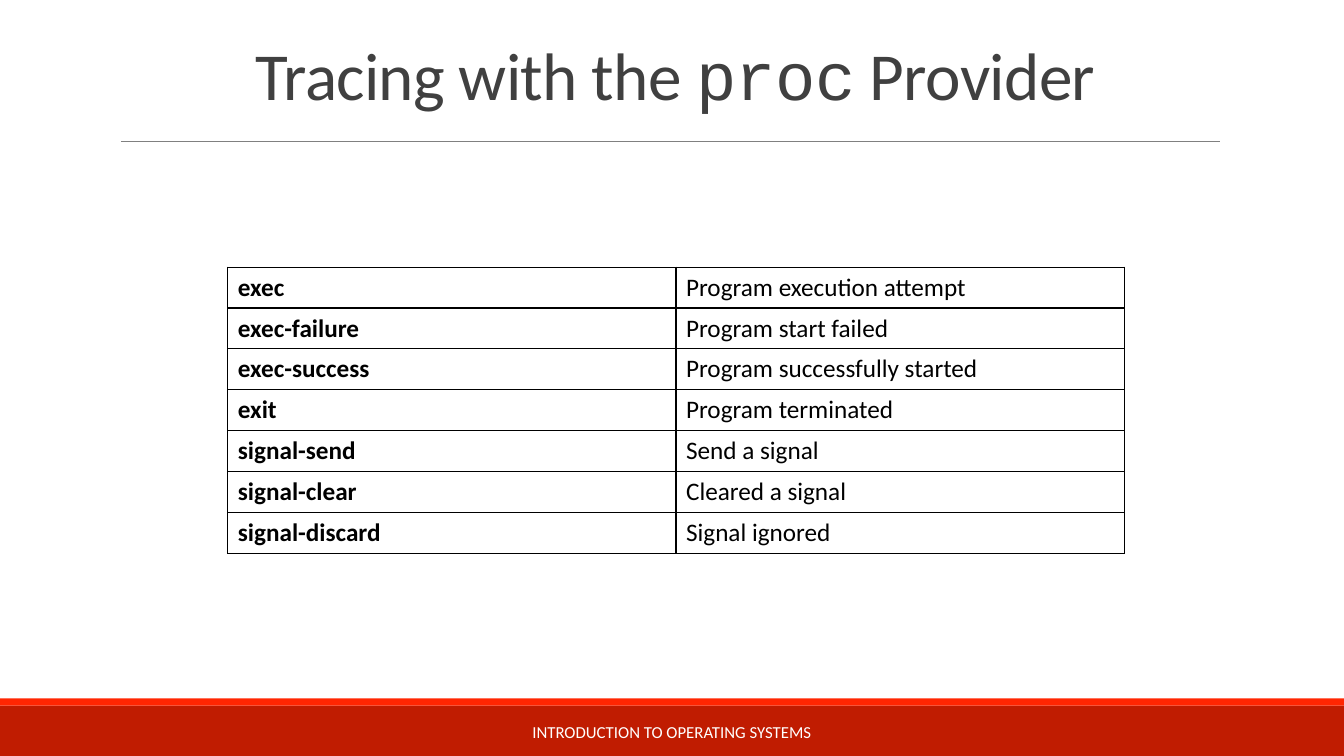
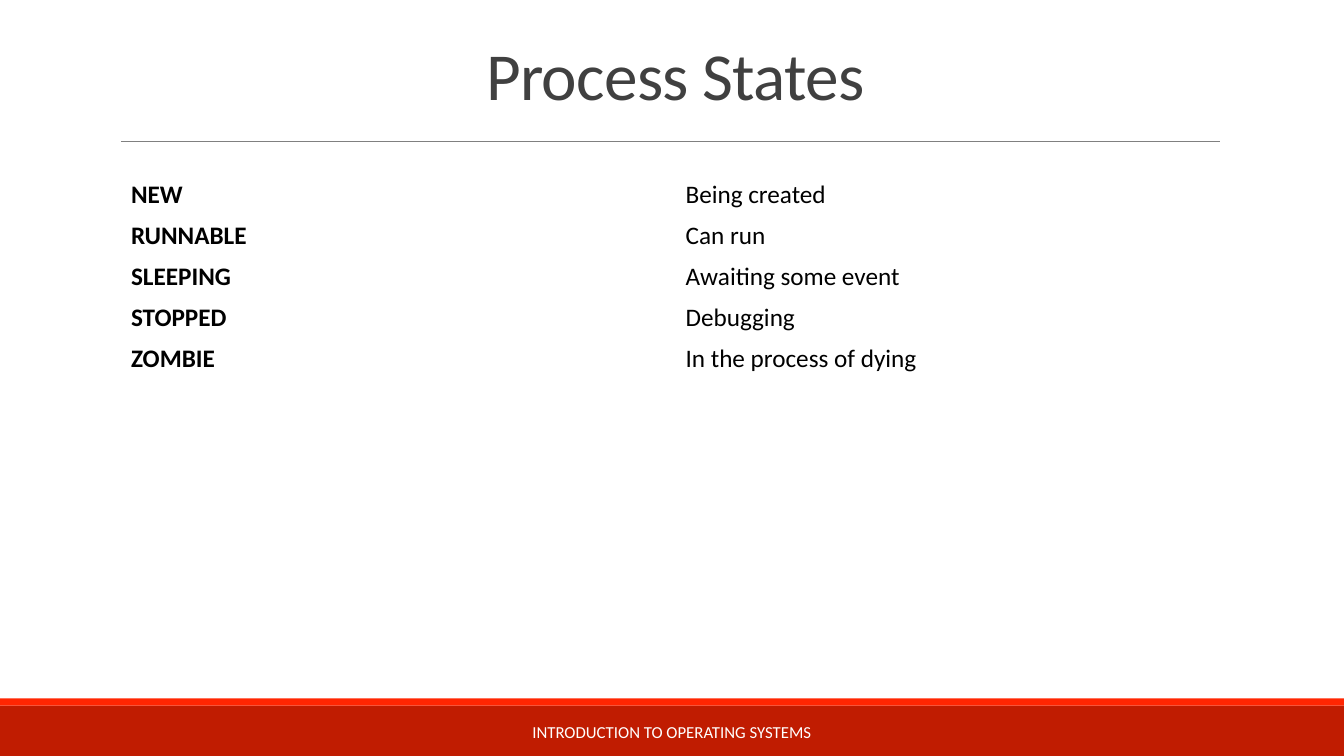
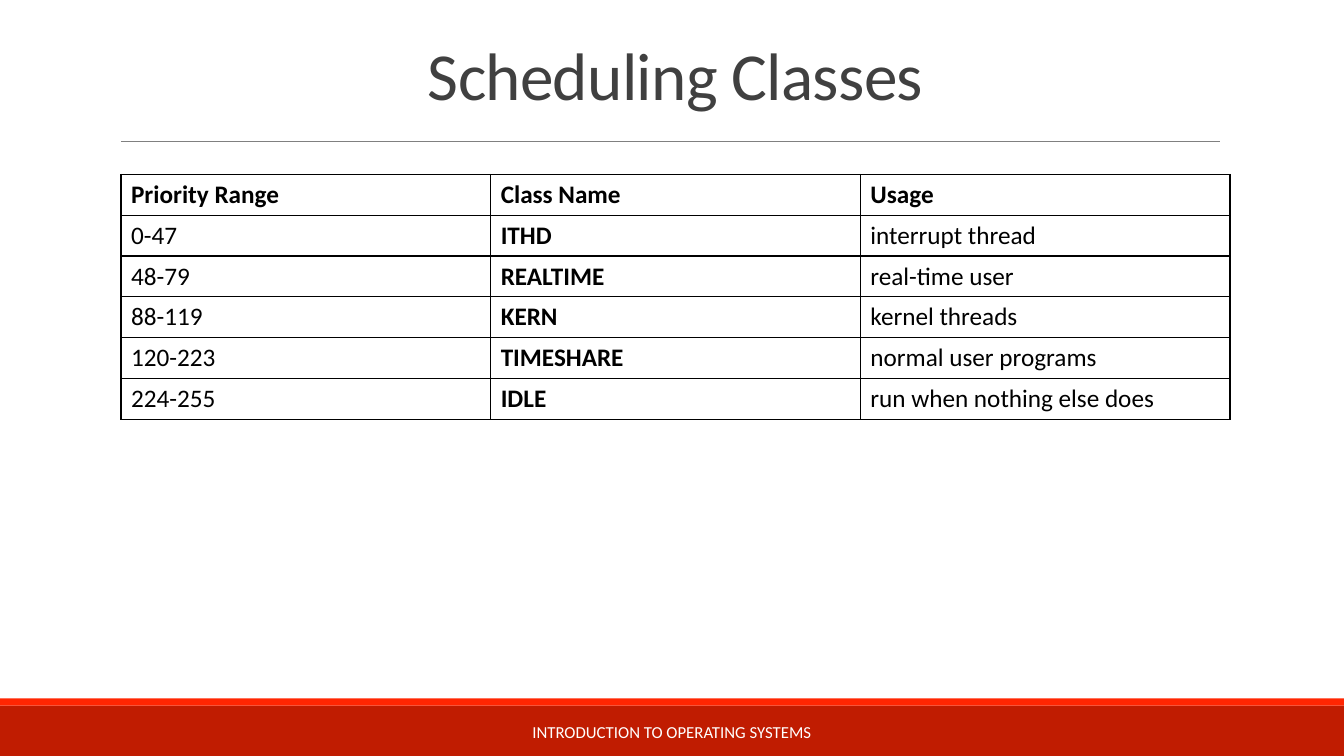
from dataclasses import dataclass
from lxml import etree
from pptx import Presentation
from pptx import util as u
from pptx.dml.color import RGBColor
from pptx.enum import shapes, text
from pptx.oxml.ns import qn

FOOT = "INTRODUCTION TO OPERATING SYSTEMS"

PROBES = [
    ("exec", "Program execution attempt"),
    ("exec-failure", "Program start failed"),
    ("exec-success", "Program successfully started"),
    ("exit", "Program terminated"),
    ("signal-send", "Send a signal"),
    ("signal-clear", "Cleared a signal"),
    ("signal-discard", "Signal ignored"),
]
STATES = [
    ("NEW", "Being created"),
    ("RUNNABLE", "Can run"),
    ("SLEEPING", "Awaiting some event"),
    ("STOPPED", "Debugging"),
    ("ZOMBIE", "In the process of dying"),
]
CLASSES = [
    ("Priority Range", "Class Name", "Usage"),
    ("0-47", "ITHD", "interrupt thread"),
    ("48-79", "REALTIME", "real-time user"),
    ("88-119", "KERN", "kernel threads"),
    ("120-223", "TIMESHARE", "normal user programs"),
    ("224-255", "IDLE", "run when nothing else does"),
]


@dataclass(frozen=True)
class Theme:
    sans: str = "Calibri"
    mono: str = "Courier New"
    ink: str = "000000"
    paper: str = "FFFFFF"
    title: str = "404040"
    rule: str = "808080"
    band: str = "C01C01"
    strip: str = "FF2602"
    head: int = 48
    body: int = 18
    foot: int = 12


T = Theme()

PAGES = [
    dict(title=[("Tracing with the ", T.sans), ("proc", T.mono),
                (" Provider", T.sans)],
         rows=PROBES, box=(2.26, 2.65, 8.89, 2.84), key=0, top=False, grid=True),
    dict(title=[("Process States", T.sans)],
         rows=STATES, box=(1.2, 1.73, 11, 2.03), key=0, top=False, grid=False),
    dict(title=[("Scheduling Classes", T.sans)],
         rows=CLASSES, box=(1.2, 1.73, 11, 2.43), key=1, top=True, grid=True),
]


def inch(box):
    return [u.Inches(v) for v in box]


def color(code):
    return RGBColor.from_string(code)


def add_run(para, words, size, code, face=T.sans, bold=False):
    run = para.add_run()
    run.text = words
    font = run.font
    font.name, font.size, font.bold = face, u.Pt(size), bold
    font.color.rgb = color(code)
    return run


def add_text(slide, box):
    frame = slide.shapes.add_textbox(*inch(box)).text_frame
    frame.word_wrap = True
    frame.vertical_anchor = text.MSO_ANCHOR.MIDDLE
    para = frame.paragraphs[0]
    para.alignment = text.PP_ALIGN.CENTER
    return para


def add_band(slide, box, code):
    band = slide.shapes.add_shape(shapes.MSO_SHAPE.RECTANGLE, *inch(box))
    band.shadow.inherit = False
    band.fill.solid()
    band.fill.fore_color.rgb = color(code)
    band.line.fill.background()


def add_frame(slide, title):
    add_band(slide, (0, 7, 13.33, 0.5), T.band)
    add_band(slide, (0, 6.93, 13.33, 0.07), T.strip)
    rule = slide.shapes.add_connector(
        shapes.MSO_CONNECTOR.STRAIGHT, *inch((1.2, 1.4, 12.1, 1.4)))
    rule.line.color.rgb = color(T.rule)
    rule.line.width = u.Pt(0.5)
    etree.SubElement(rule._element.spPr, qn("a:effectLst"))
    para = add_text(slide, (1.2, 0.31, 11, 0.96))
    para.line_spacing = 0.85
    for words, face in title:
        run = add_run(para, words, T.head, T.title, face)
        run.font._element.set("spc", "-50")
    add_run(add_text(slide, (4.03, 7.06, 5.27, 0.4)), FOOT, T.foot, T.paper)


def add_edges(cell):
    props = cell._tc.get_or_add_tcPr()
    for side in ("lnL", "lnR", "lnT", "lnB"):
        edge = etree.SubElement(props, qn("a:" + side), w=str(u.Pt(1)))
        fill = etree.SubElement(edge, qn("a:solidFill"))
        etree.SubElement(fill, qn("a:srgbClr"), val=T.ink)


def add_grid(slide, rows, box, key, top, grid):
    table = slide.shapes.add_table(len(rows), len(rows[0]), *inch(box)).table
    table.first_row = table.horz_banding = False
    for r, row in enumerate(rows):
        for c, words in enumerate(row):
            cell = table.cell(r, c)
            if grid:
                add_edges(cell)
            cell.fill.background()
            bold = c == key or (top and r == 0)
            add_run(cell.text_frame.paragraphs[0], words, T.body, T.ink, bold=bold)


deck = Presentation()
deck.slide_width, deck.slide_height = inch((13.33, 7.5))
for page in PAGES:
    slide = deck.slides.add_slide(deck.slide_layouts[6])
    slide.background.fill.solid()
    slide.background.fill.fore_color.rgb = color(T.paper)
    add_frame(slide, page["title"])
    add_grid(slide, page["rows"], page["box"], page["key"], page["top"], page["grid"])
deck.save("out.pptx")
